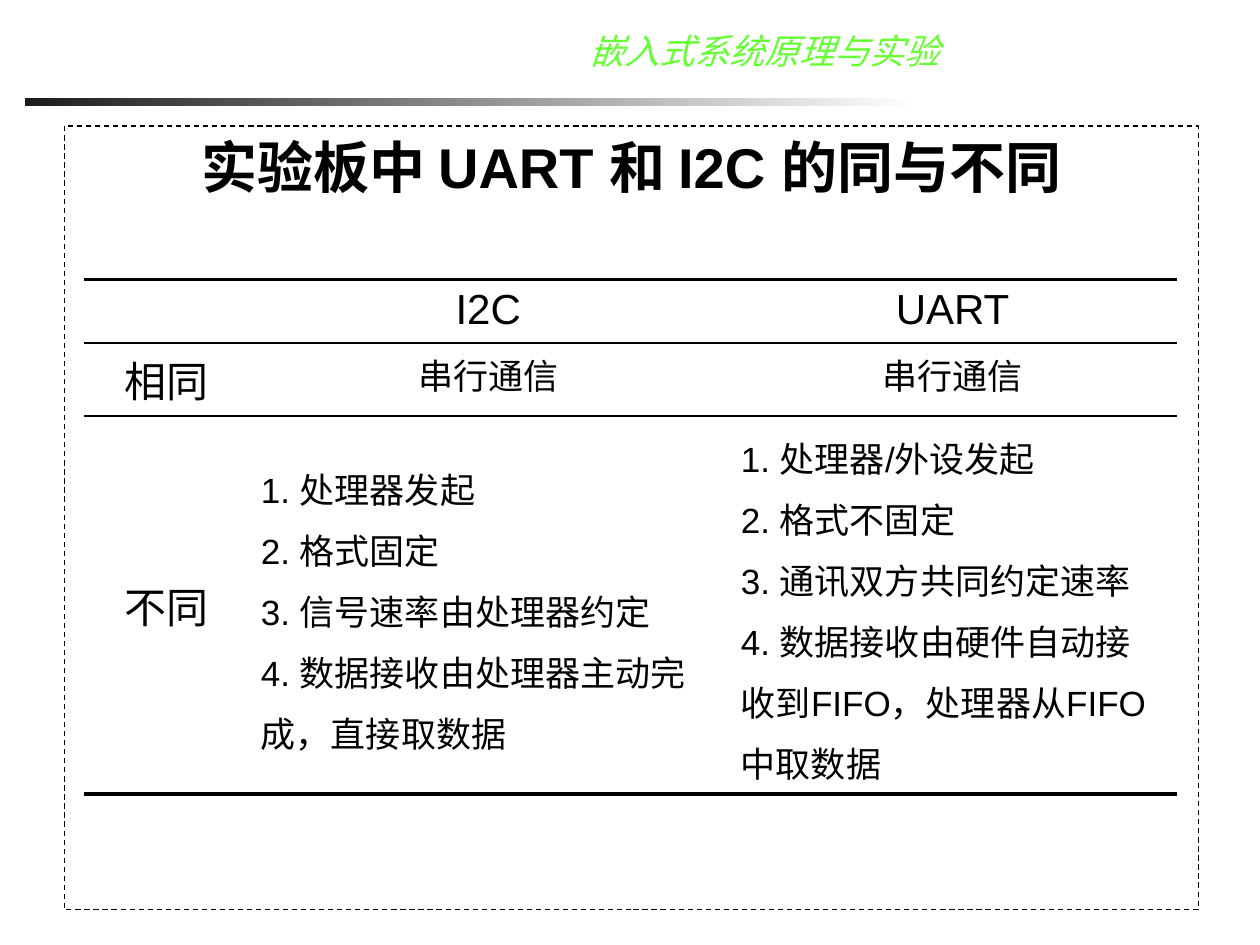
"""Build a slide comparing I2C and UART in a three-line table."""
from dataclasses import dataclass

from lxml import etree
from pptx import Presentation
from pptx import util as u
from pptx.dml import color
from pptx.enum import dml, shapes, text
from pptx.oxml import ns

COLORS = {"ink": "000000", "dark": "1C1C1C", "paper": "FFFFFF", "course": "66FF33"}
FONT = "Arial"
GRID_COLS = 100
COLUMNS = (13, 38.1, 35.6)
ROWS = (4.9, 5.8, 30)
RULES = (2.25, 1, 1, 2.25)


@dataclass
class Box:
    """A rectangle in grid units, a hundred columns to the slide's width."""
    x: float
    y: float
    w: float
    h: float

    def emu(self, unit: int) -> list[int]:
        return [int(v * unit) for v in (self.x, self.y, self.w, self.h)]


@dataclass
class Entry:
    """The content and layout of one table cell."""
    lines: tuple[str, ...] = ()
    size: int = 24
    centered: bool = True
    middle: bool = False


I2C = ("1. 处理器发起", "2. 格式固定", "3. 信号速率由处理器约定",
       "4. 数据接收由处理器主动完成，直接取数据")
UART = ("1. 处理器/外设发起", "2. 格式不固定", "3. 通讯双方共同约定速率",
        "4. 数据接收由硬件自动接收到FIFO，处理器从FIFO中取数据")
ENTRIES = (
    (Entry(), Entry(("I2C",)), Entry(("UART",))),
    (Entry(("相同",)), Entry(("串行通信",), 20), Entry(("串行通信",), 20)),
    (Entry(("不同",), middle=True), Entry(I2C, 20, False, True),
     Entry(UART, 20, False, True)),
)


def rgb(name: str) -> color.RGBColor:
    """Look up a named colour."""
    return color.RGBColor.from_string(COLORS[name])


def write(tf, lines: tuple[str, ...], size: float, ink: str = "ink",
          centered: bool = True, spacing: float = 1.0,
          bold: bool = False, italic: bool = False) -> None:
    """Fill a text frame with evenly formatted paragraphs."""
    tf.word_wrap = True
    tf.text = "\n".join(lines)
    for p in tf.paragraphs:
        p.alignment = text.PP_ALIGN.CENTER if centered else text.PP_ALIGN.LEFT
        p.line_spacing = spacing
        p.font.size = u.Pt(size)
        for r in p.runs:
            r.font.name, r.font.size = FONT, u.Pt(size)
            r.font.bold, r.font.italic = bold, italic
            r.font.color.rgb = rgb(ink)


def set_border(cell, side: str, width: float = 0) -> None:
    """Rule one side of a cell, or clear it when the width is zero."""
    ln = etree.SubElement(cell._tc.get_or_add_tcPr(), ns.qn(f"a:ln{side}"))
    ln.set("w", str(int(u.Pt(width))))
    if not width:
        etree.SubElement(ln, ns.qn("a:noFill"))
        return
    fill = etree.SubElement(ln, ns.qn("a:solidFill"))
    etree.SubElement(fill, ns.qn("a:srgbClr")).set("val", COLORS["ink"])


def draw_header(s, bar: Box, label: Box, unit: int) -> None:
    """Draw the fading bar and the course name above it."""
    sp = s.shapes.add_shape(shapes.MSO_SHAPE.RECTANGLE, *bar.emu(unit))
    sp.shadow.inherit = False
    sp.line.fill.background()
    sp.fill.gradient()
    sp.fill.gradient_angle = 0
    for stop, name in zip(sp.fill.gradient_stops, ("dark", "paper")):
        stop.color.rgb = rgb(name)
    tf = s.shapes.add_textbox(*label.emu(unit)).text_frame
    tf.vertical_anchor = text.MSO_ANCHOR.MIDDLE
    write(tf, ("嵌入式系统原理与实验",), 20, "course", italic=True)


def draw_title(s, box: Box, unit: int) -> None:
    """Turn the title placeholder into the dashed frame with its heading."""
    sp = s.shapes.title
    sp.left, sp.top, sp.width, sp.height = box.emu(unit)
    sp.line.color.rgb = rgb("ink")
    sp.line.width = u.Pt(0.75)
    sp.line.dash_style = dml.MSO_LINE.DASH
    tf = sp.text_frame
    tf.auto_size = text.MSO_AUTO_SIZE.NONE
    tf.vertical_anchor = text.MSO_ANCHOR.TOP
    write(tf, ("实验板中 UART 和 I2C 的同与不同",), 32, bold=True)


def draw_table(s, x: float, y: float, unit: int) -> None:
    """Draw the comparison with horizontal rules only."""
    box = Box(x, y, sum(COLUMNS), sum(ROWS))
    table = s.shapes.add_table(len(ROWS), len(COLUMNS), *box.emu(unit)).table
    table.first_row = table.horz_banding = False
    for column, width in zip(table.columns, COLUMNS):
        column.width = int(width * unit)
    for i, (row, height) in enumerate(zip(table.rows, ROWS)):
        row.height = int(height * unit)
        for cell, entry in zip(row.cells, ENTRIES[i]):
            for side, width in zip("LRTB", (0, 0, RULES[i], RULES[i + 1])):
                set_border(cell, side, width)
            cell.fill.background()
            if entry.middle:
                cell.vertical_anchor = text.MSO_ANCHOR.MIDDLE
            write(cell.text_frame, entry.lines, entry.size,
                  centered=entry.centered, spacing=1.0 if entry.centered else 1.2)


def main() -> None:
    """Assemble and save the slide."""
    prs = Presentation()
    prs.slide_width, prs.slide_height = u.Inches(10), u.Inches(7.5)
    unit = prs.slide_width // GRID_COLS
    s = prs.slides.add_slide(prs.slide_layouts[5])
    draw_header(s, Box(2, 7.8, 70.7, 0.6), Box(41, 1.5, 39.4, 5), unit)
    draw_title(s, Box(5.1, 10, 90, 62.2), unit)
    draw_table(s, 6.7, 22.2, unit)
    prs.save("out.pptx")


if __name__ == "__main__":
    main()
